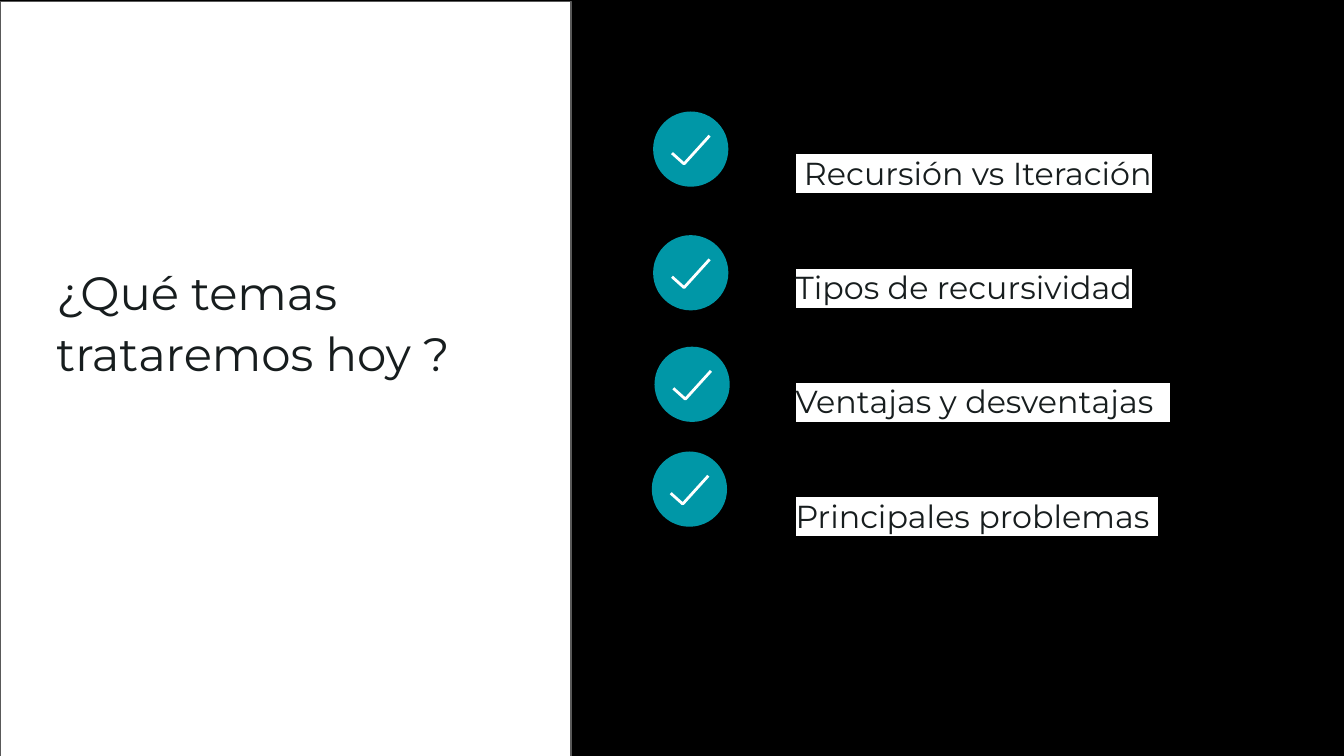
from lxml.etree import Element, SubElement
from pptx import Presentation
from pptx.dml.color import RGBColor as RGB
from pptx.enum.shapes import MSO_SHAPE as Shape
from pptx.enum.text import MSO_ANCHOR as Anchor, MSO_AUTO_SIZE as Fit, PP_ALIGN as Align
from pptx.oxml.ns import qn
from pptx.util import Inches, Pt

BLACK = RGB(0x00, 0x00, 0x00)
WHITE = RGB(0xFF, 0xFF, 0xFF)
GRAY = RGB(0x59, 0x59, 0x59)
TEAL = RGB(0x00, 0x97, 0xA7)
INK = RGB(0x17, 0x1D, 0x1E)
FONT = "Montserrat"

TITLE = "¿Qué temas trataremos hoy ?"
TOPICS = [
    " Recursión vs Iteración",
    "Tipos de recursividad",
    "Ventajas y desventajas  ",
    "Principales problemas ",
]
DISCS = [(4.86, 0.83), (4.86, 1.75), (4.87, 2.58), (4.85, 3.36)]
DISC = 0.56
TICK = [(0.14, 0.31), (0.23, 0.39), (0.42, 0.18)]


def place(shape, x, y, w, h):
    shape.left, shape.top = Inches(x), Inches(y)
    shape.width, shape.height = Inches(w), Inches(h)


def set_frame(frame):
    frame.word_wrap = True
    frame.auto_size = Fit.NONE
    frame.vertical_anchor = Anchor.TOP
    frame.margin_left = frame.margin_right = 0
    frame.margin_top = frame.margin_bottom = 0


def add_run(para, text, size):
    run = para.add_run()
    run.text = text
    run.font.name = FONT
    run.font.size = Pt(size)
    run.font.color.rgb = INK
    mark = Element(qn("a:highlight"))
    SubElement(mark, qn("a:srgbClr"), val=str(WHITE))
    run.font.fill._xPr.find(qn("a:solidFill")).addnext(mark)


def add_panel(slide):
    panel = slide.shapes.add_shape(
        Shape.RECTANGLE, 0, Inches(0.01), Inches(4.25), Inches(5.66))
    panel.shadow.inherit = False
    panel.fill.solid()
    panel.fill.fore_color.rgb = WHITE
    panel.line.color.rgb = GRAY
    panel.line.width = Pt(0.75)
    tree = panel._element.getparent()
    tree.insert(2, panel._element)


def add_title(slide):
    title = slide.shapes.title
    place(title, 0.42, 1.92, 3.48, 0.88)
    set_frame(title.text_frame)
    para = title.text_frame.paragraphs[0]
    para.alignment = Align.LEFT
    para.line_spacing = 1.1
    add_run(para, TITLE, 25)


def add_list(slide):
    box = slide.shapes.add_textbox(
        Inches(5.92), Inches(1), Inches(3.58), Inches(3.38))
    frame = box.text_frame
    set_frame(frame)
    for i, topic in enumerate(TOPICS):
        para = frame.add_paragraph() if i else frame.paragraphs[0]
        para.line_spacing = 1.5
        para.space_after = Pt(30.6)
        add_run(para, topic, 17)


def add_check(slide, x, y):
    group = slide.shapes.add_group_shape()
    disc = group.shapes.add_shape(
        Shape.OVAL, Inches(x), Inches(y), Inches(DISC), Inches(DISC))
    disc.shadow.inherit = False
    disc.fill.solid()
    disc.fill.fore_color.rgb = TEAL
    disc.line.fill.background()
    start, *rest = [(Inches(x + dx), Inches(y + dy)) for dx, dy in TICK]
    pen = group.shapes.build_freeform(*start)
    pen.add_line_segments(rest, close=False)
    tick = pen.convert_to_shape()
    tick.shadow.inherit = False
    tick.fill.background()
    tick.line.color.rgb = WHITE
    tick.line.width = Pt(1.5)


def main():
    deck = Presentation()
    deck.slide_width = Inches(10)
    deck.slide_height = Inches(10 * 9 / 16)
    slide = deck.slides.add_slide(deck.slide_layouts[5])
    slide.background.fill.solid()
    slide.background.fill.fore_color.rgb = BLACK
    add_panel(slide)
    add_title(slide)
    add_list(slide)
    for x, y in DISCS:
        add_check(slide, x, y)
    deck.save("out.pptx")


if __name__ == "__main__":
    main()
